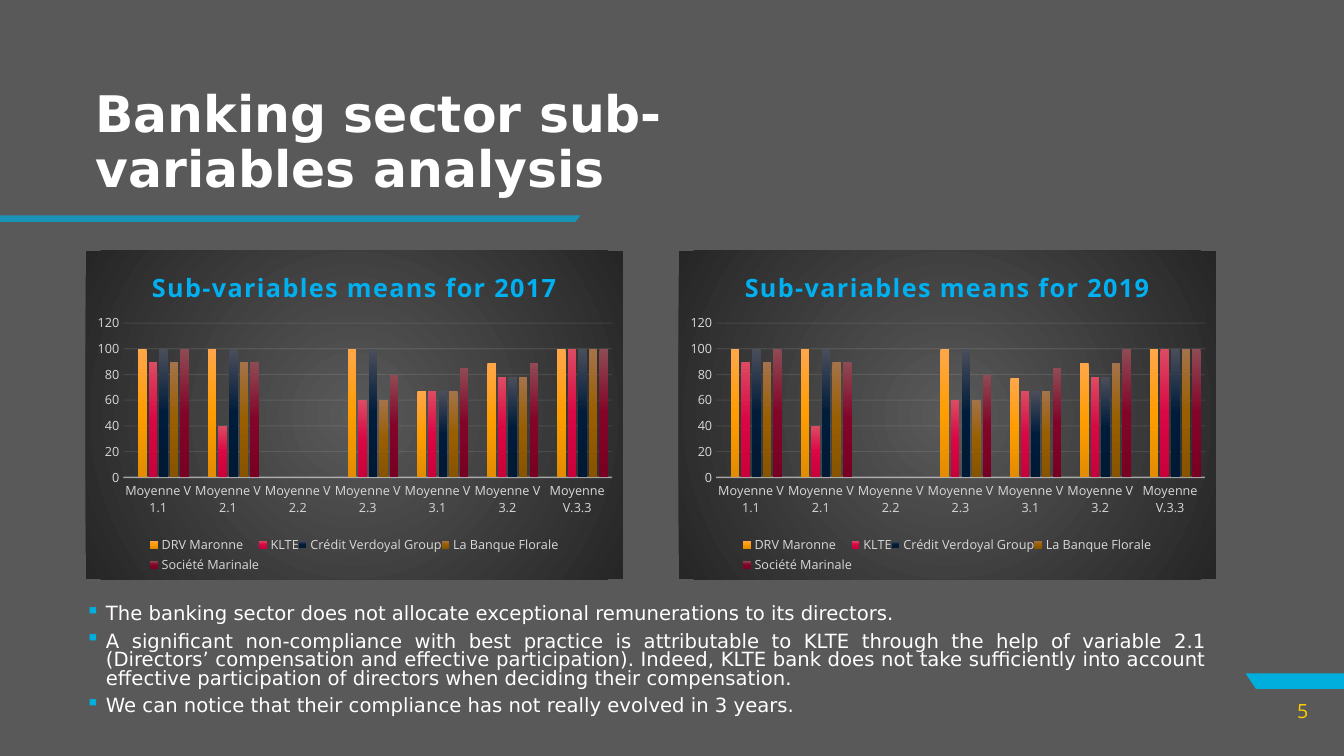
from lxml.etree import SubElement
from pptx import Presentation
from pptx.chart.data import CategoryChartData
from pptx.dml.color import RGBColor
from pptx.enum.chart import XL_CHART_TYPE as ChartType
from pptx.enum.chart import XL_LEGEND_POSITION as LegendPosition
from pptx.enum.chart import XL_TICK_MARK as TickMark
from pptx.enum.text import MSO_ANCHOR as Anchor
from pptx.enum.text import PP_ALIGN as Align
from pptx.oxml import parse_xml
from pptx.oxml.ns import nsdecls, qn
from pptx.util import Cm, Pt

HEADING_FONT = "DejaVu Sans"
CHART_FONT = "Open Sans"
WHITE, BLUE, LIGHT = "FFFFFF", "00AEDE", "D9D9D9"
LEFT = 2.16

CATEGORIES = ["Moyenne V 1.1", "Moyenne V 2.1", "Moyenne V 2.2", "Moyenne V 2.3",
              "Moyenne V 3.1", "Moyenne V 3.2", "Moyenne V.3.3"]
# Each bank has its three gradient colours, from top to bottom of a bar.
BANKS = {
    "Series 1": ("4B5576", "002E62", "002957"),
    "DRV Maronne": ("FFA74B", "FF9D00", "E38C00"),
    "KLTE": ("DB4C63", "DB0745", "C9003B"),
    "Crédit Verdoyal Group": ("4B4E5B", "001C3B", "001934"),
    "La Banque Florale": ("A4734B", "995E00", "885400"),
    "Société Marinale": ("8E4B53", "830429", "780023"),
}
EMPTY = [None] * len(CATEGORIES)
MEANS_2017 = [
    EMPTY,
    [100, 100, 0, 100, 67, 89, 100],
    [90, 40, 0, 60, 67, 78, 100],
    [100, 100, 0, 100, 67, 78, 100],
    [90, 90, 0, 60, 67, 78, 100],
    [100, 90, 0, 80, 85, 89, 100],
]
MEANS_2019 = [
    EMPTY,
    [100, 100, 0, 100, 77, 89, 100],
    [90, 40, 0, 60, 67, 78, 100],
    [100, 100, 0, 100, 67, 78, 100],
    [90, 90, 0, 60, 67, 89, 100],
    [100, 90, 0, 80, 85, 100, 100],
]
FINDINGS = [
    "The banking sector does not allocate exceptional remunerations to its directors.",
    "A significant non-compliance with best practice is attributable to KLTE through the "
    "help of variable 2.1 (Directors’ compensation and effective participation). Indeed, "
    "KLTE bank does not take sufficiently into account effective participation of directors "
    "when deciding their compensation.",
    "We can notice that their compliance has not really evolved in 3 years.",
]


def color(value):
    return RGBColor.from_string(value)


def set_font(font, name, size, hex_color, bold=False):
    font.name, font.size, font.bold = name, Pt(size), bold
    font.color.rgb = color(hex_color)


def set_opacity(parent, query, percent):
    for node in parent.xpath(query):
        SubElement(node, qn("a:alpha"), val=str(percent * 1000))


def gradient(colors, direction):
    """Return a gradFill with evenly spaced stops; direction is its closing XML."""
    step = 100000 // (len(colors) - 1)
    stops = "".join(f'<a:gs pos="{i * step}"><a:srgbClr val="{value}"/></a:gs>'
                    for i, value in enumerate(colors))
    return f"<a:gradFill><a:gsLst>{stops}</a:gsLst>{direction}</a:gradFill>"


def shape_properties(fill):
    return parse_xml(f'<c:spPr {nsdecls("c", "a")}>{fill}<a:ln><a:noFill/></a:ln></c:spPr>')


def set_layout(element, x, y, w, h, inner=False):
    """Place a chart part by fractions of the chart area."""
    target = '<c:layoutTarget val="inner"/>' if inner else ""
    sizes = "".join(f'<c:{key} val="{value}"/>'
                    for key, value in zip("xywh", (x, y, w, h)))
    layout = parse_xml(f'<c:layout {nsdecls("c")}><c:manualLayout>{target}'
                       f'<c:xMode val="edge"/><c:yMode val="edge"/>{sizes}'
                       '</c:manualLayout></c:layout>')
    for old in element.findall(qn("c:layout")):
        element.remove(old)
    if inner:
        element.insert(0, layout)
    else:
        element.xpath("c:legendPos|c:legendEntry")[-1].addnext(layout)


def add_bar(slide, points, opacity=100):
    start, *others = [(Cm(x), Cm(y)) for x, y in points]
    builder = slide.shapes.build_freeform(*start)
    builder.add_line_segments(others, close=True)
    shape = builder.convert_to_shape()
    shape.shadow.inherit = False
    shape.fill.solid()
    shape.fill.fore_color.rgb = color(BLUE)
    shape.line.fill.background()
    if opacity < 100:
        set_opacity(shape._element, "./p:spPr/a:solidFill/a:srgbClr", opacity)


def add_text(slide, text, box, font=HEADING_FONT, size=14, hex_color=WHITE, bold=False,
             align=Align.LEFT, anchor=Anchor.MIDDLE, line_spacing=1.0):
    """Add a text box with one paragraph for each line of text."""
    frame = slide.shapes.add_textbox(*map(Cm, box)).text_frame
    frame.word_wrap = True
    frame.vertical_anchor = anchor
    frame.text = text
    for paragraph in frame.paragraphs:
        paragraph.alignment = align
        paragraph.line_spacing = line_spacing
        set_font(paragraph.runs[0].font, font, size, hex_color, bold)
    return frame


def add_bullets(frame):
    frame.margin_left = 0
    for paragraph in frame.paragraphs:
        paragraph.space_before = Pt(6)
        properties = paragraph._p.get_or_add_pPr()
        properties.set("marL", str(Cm(0.51)))
        properties.set("indent", str(-Cm(0.51)))
        bullet_color = SubElement(properties, qn("a:buClr"))
        SubElement(bullet_color, qn("a:srgbClr"), val=BLUE)
        SubElement(properties, qn("a:buChar"), char="▪")


def format_axes(chart):
    for axis in (chart.category_axis, chart.value_axis):
        axis.major_tick_mark = axis.minor_tick_mark = TickMark.NONE
        set_font(axis.tick_labels.font, CHART_FONT, 9, LIGHT)
    chart.value_axis.minimum_scale, chart.value_axis.maximum_scale = 0, 120
    chart.value_axis.major_unit = 20
    chart.value_axis.format.line.fill.background()
    for line, width in ((chart.category_axis.format.line, 1),
                        (chart.value_axis.major_gridlines.format.line, 0.75)):
        line.width = Pt(width)
        line.color.rgb = color("F2F2F2")
    space = chart._chartSpace
    set_opacity(space, ".//c:catAx/c:spPr//a:srgbClr", 54)
    set_opacity(space, ".//c:majorGridlines//a:srgbClr", 10)


def format_legend(chart):
    chart.has_legend = True
    legend = chart.legend
    legend.position = LegendPosition.BOTTOM
    legend.include_in_layout = False
    set_font(legend.font, CHART_FONT, 9, LIGHT)
    hidden_entry = parse_xml(f'<c:legendEntry {nsdecls("c")}><c:idx val="0"/>'
                             '<c:delete val="1"/></c:legendEntry>')
    legend._element.find(qn("c:legendPos")).addnext(hidden_entry)
    set_layout(legend._element, 0.12, 0.86, 0.76, 0.13)


def add_means_chart(slide, title, left, means):
    data = CategoryChartData()
    data.categories = CATEGORIES
    for bank, values in zip(BANKS, means):
        data.add_series(bank, values)
    chart = slide.shapes.add_chart(ChartType.COLUMN_CLUSTERED, Cm(left), Cm(6.32),
                                   Cm(13.54), Cm(8.28), data).chart
    set_font(chart.font, CHART_FONT, 10, "000000")
    chart.has_title = True
    chart.chart_title.include_in_layout = False
    chart.chart_title.text_frame.text = title
    run = chart.chart_title.text_frame.paragraphs[0].runs[0]
    set_font(run.font, CHART_FONT, 18, "00B0F0", bold=True)
    run.font._element.set("spc", "100")

    plot = chart.plots[0]
    plot.gap_width, plot.overlap, plot.vary_by_categories = 100, -24, False
    for series, colors in zip(plot.series, BANKS.values()):
        series.invert_if_negative = False
        series._element.find(qn("c:tx")).addnext(
            shape_properties(gradient(colors, '<a:lin ang="5400000" scaled="0"/>')))
    format_axes(chart)
    format_legend(chart)
    space = chart._chartSpace
    set_layout(space.find(".//" + qn("c:plotArea")), 0.07, 0.22, 0.91, 0.47, inner=True)
    center = ('<a:path path="circle"><a:fillToRect l="50000" t="50000" '
              'r="50000" b="50000"/></a:path>')
    space.find(qn("c:txPr")).addprevious(
        shape_properties(gradient(("595959", "262626"), center)))


def main():
    presentation = Presentation()
    presentation.slide_width, presentation.slide_height = Cm(33.87), Cm(19.05)
    slide = presentation.slides.add_slide(presentation.slide_layouts[6])
    slide.background.fill.solid()
    slide.background.fill.fore_color.rgb = color("595959")

    add_bar(slide, [(33.87, 16.97), (33.87, 17.36), (31.65, 17.36), (31.39, 16.97)])
    add_bar(slide, [(0, 5.43), (0, 5.59), (14.5, 5.59), (14.63, 5.43)], opacity=70)
    add_text(slide, "Banking sector sub-variables analysis", (LEFT, 2.21, 16.46, 2.82),
             size=36, bold=True, line_spacing=0.9)
    add_means_chart(slide, "Sub-variables means for 2017", LEFT, MEANS_2017)
    add_means_chart(slide, "Sub-variables means for 2019", 17.1, MEANS_2019)
    findings = add_text(slide, "\n".join(FINDINGS), (LEFT, 15.14, 28.5, 3.33),
                        align=Align.JUSTIFY, anchor=Anchor.TOP, line_spacing=0.8)
    add_bullets(findings)
    add_text(slide, "5", (31.7, 17.4, 1.52, 1.02), font=CHART_FONT, hex_color="FFCD00",
             align=Align.RIGHT)
    presentation.save("out.pptx")


if __name__ == "__main__":
    main()
